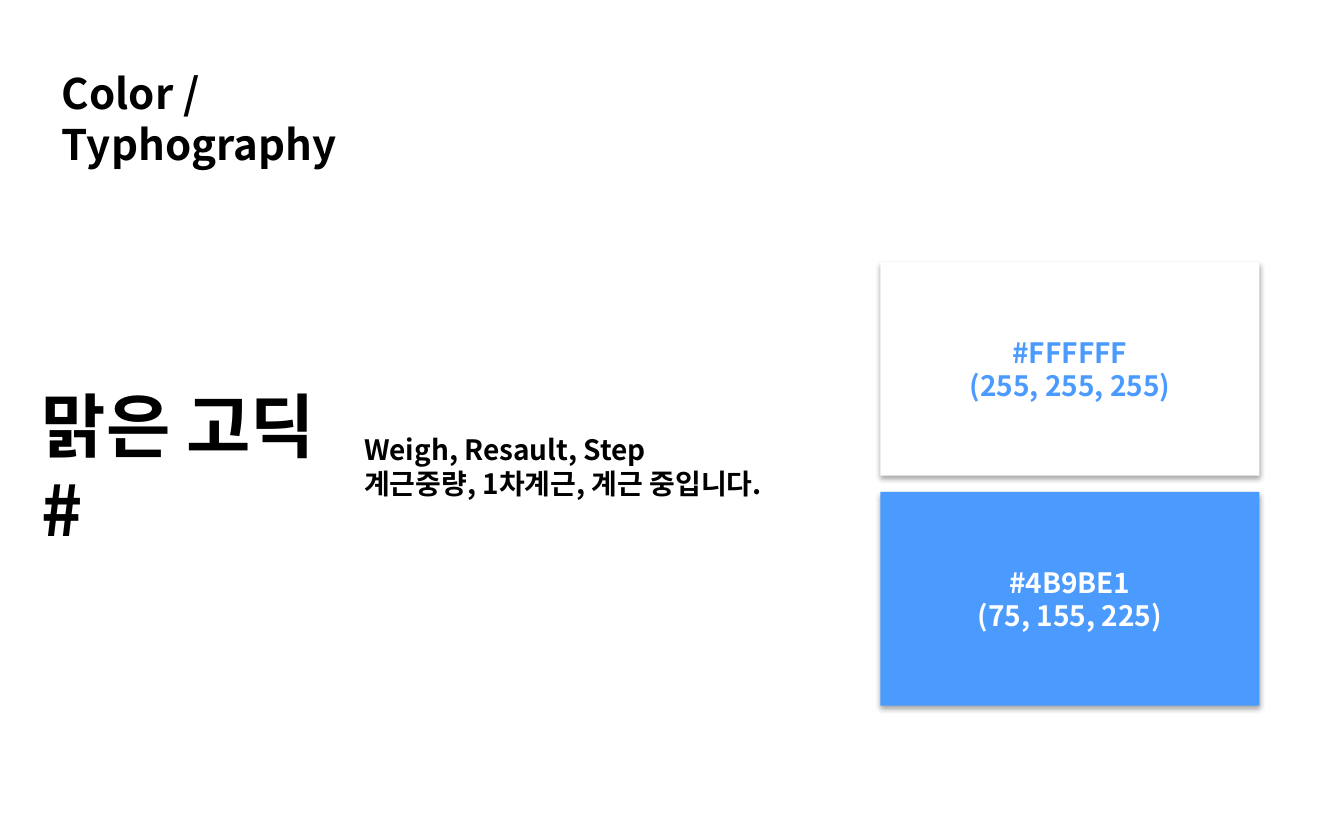
import dataclasses
import pptx
import pptx.dml.color
import pptx.enum.shapes
import pptx.enum.text
import pptx.oxml
import pptx.oxml.ns
import pptx.util
from pptx.util import Inches

ALIGN = pptx.enum.text.PP_ALIGN


@dataclasses.dataclass(frozen=True)
class Theme:
    """Font, colours and type sizes."""
    font: str = "Noto Sans CJK KR"
    black: str = "000000"
    white: str = "FFFFFF"
    blue: str = "4B9BFF"
    head: float = 22.5
    show: float = 37.5
    text: float = 15


class Deck:
    """Draws styled elements on one slide."""

    def __init__(self, theme):
        """Start a deck with one title slide."""
        self.theme = theme
        self.file = pptx.Presentation()
        self.file.slide_width = Inches(10)
        self.file.slide_height = Inches(6.25)
        self.slide = self.file.slides.add_slide(self.file.slide_layouts[5])

    def letter(self, shape, lines, size, color, align=ALIGN.LEFT, right=0):
        """Fill a shape with bold lines, centred in height."""
        frame = shape.text_frame
        frame.word_wrap = True
        frame.auto_size = pptx.enum.text.MSO_AUTO_SIZE.NONE
        frame.vertical_anchor = pptx.enum.text.MSO_ANCHOR.MIDDLE
        frame.margin_left = frame.margin_top = frame.margin_bottom = 0
        frame.margin_right = Inches(right)
        for i, line in enumerate(lines):
            para = frame.add_paragraph() if i else frame.paragraphs[0]
            para.alignment = align
            run = para.add_run()
            run.text = line
            font = run.font
            font.name, font.bold = self.theme.font, True
            font.size = pptx.util.Pt(size)
            font.color.rgb = pptx.dml.color.RGBColor.from_string(color)
            east = pptx.oxml.parse_xml(
                f'<a:ea {pptx.oxml.ns.nsdecls("a")} typeface="{self.theme.font}"/>')
            run._r.get_or_add_rPr().append(east)

    def title(self, box, line):
        """Place the slide title, wrapped before its last word."""
        shape = self.slide.shapes.title
        shape.left, shape.top, shape.width, shape.height = map(Inches, box)
        self.letter(shape, [line], self.theme.head, self.theme.black, right=0.5)

    def label(self, box, lines, size):
        """Add a plain text box."""
        shape = self.slide.shapes.add_textbox(*map(Inches, box))
        self.letter(shape, lines, size, self.theme.black)

    def swatch(self, box, lines, fill, color):
        """Add a colour card with a soft shadow."""
        kind = pptx.enum.shapes.MSO_SHAPE.RECTANGLE
        shape = self.slide.shapes.add_shape(kind, *map(Inches, box))
        shape.fill.solid()
        shape.fill.fore_color.rgb = pptx.dml.color.RGBColor.from_string(fill)
        shape.line.fill.background()
        shape.shadow.inherit = False
        effect = shape._element.spPr.find(pptx.oxml.ns.qn("a:effectLst"))
        effect.append(pptx.oxml.parse_xml(
            f'<a:outerShdw {pptx.oxml.ns.nsdecls("a")} blurRad="{pptx.util.Pt(3.1)}" '
            f'dist="{pptx.util.Pt(1.8)}" dir="5400000" rotWithShape="0">'
            f'<a:srgbClr val="{self.theme.black}"><a:alpha val="35000"/></a:srgbClr>'
            '</a:outerShdw>'))
        self.letter(shape, lines, self.theme.text, color, ALIGN.CENTER)


def main():
    """Build the style slide."""
    theme = Theme()
    deck = Deck(theme)
    deck.title((0.46, 0.69, 3.14, 0.38), "Color / Typhography")
    cards = [
        (["#FFFFFF", "(255, 255, 255)"], theme.white, theme.blue),
        (["#4B9BE1", "(75, 155, 225)"], theme.blue, theme.white),
    ]
    for i, (lines, fill, color) in enumerate(cards):
        deck.swatch((6.55, 1.95 + i * 1.71, 2.82, 1.59), lines, fill, color)
    deck.label((0.31, 2.84, 2.25, 1.26), ["맑은 고딕", "#"], theme.show)
    deck.label((2.71, 3.22, 4.14, 0.5),
               ["Weigh, Resault, Step", "계근중량, 1차계근, 계근 중입니다."], theme.text)
    deck.file.save("out.pptx")


main()
